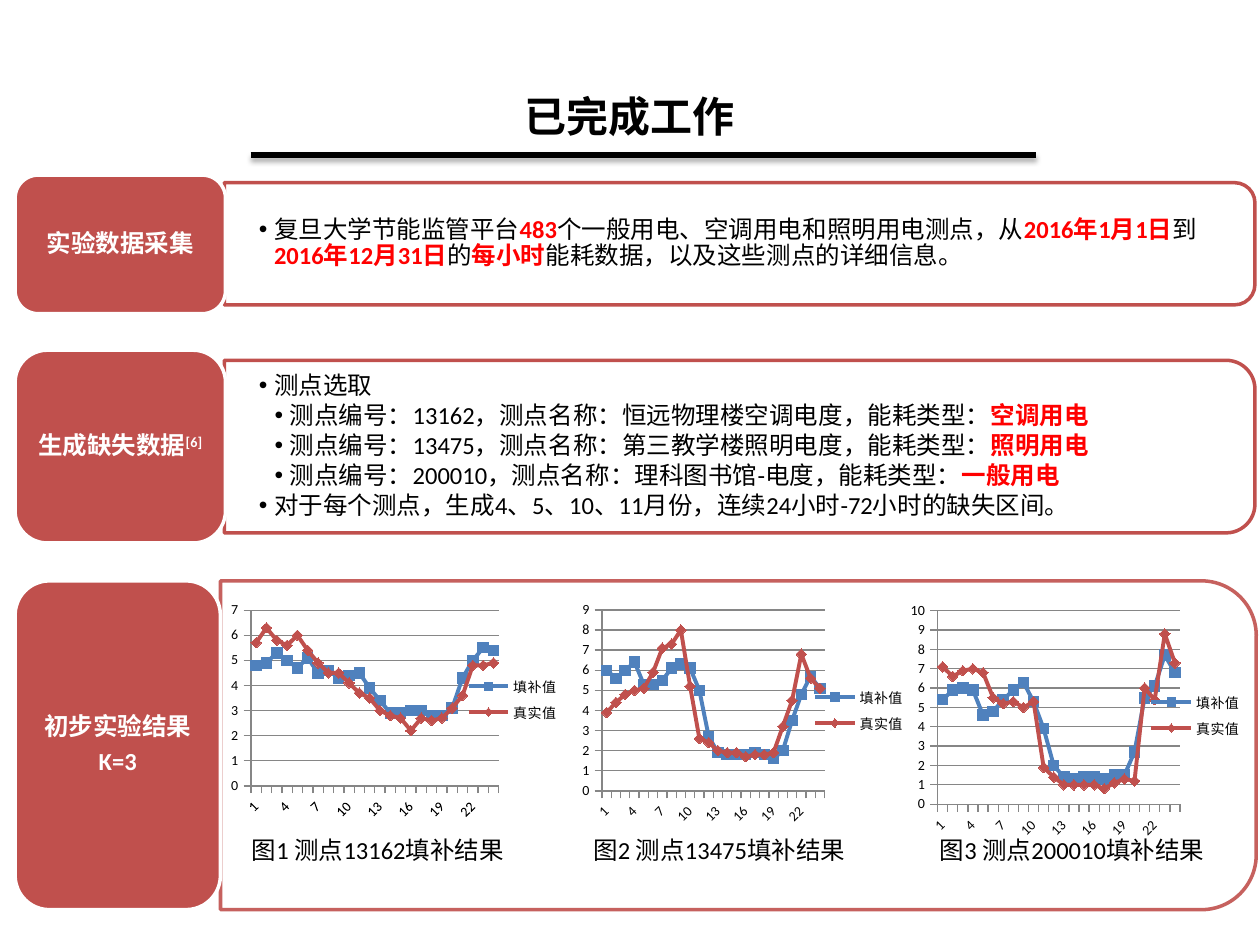
from lxml import etree
from pptx import Presentation, util as u
from pptx.chart.data import CategoryChartData
from pptx.dml.color import RGBColor
from pptx.enum import chart as charts, shapes, text
from pptx.oxml import parse_xml
from pptx.oxml.ns import nsdecls, qn

LATIN, CJK = "Calibri", "Noto Sans CJK SC"
RED, BLUE = "C0504D", "4F81BD"


def color(value):
    return RGBColor.from_string(value)


def add_xml(parent, tag, **attributes):
    return etree.SubElement(parent, qn(tag), attributes)


def apply(target, values):
    for name, value in values.items():
        setattr(target, name, value)


def write(para, content, base="000000", size=14, latin=LATIN, bold=False, mark=None):
    """Fill a paragraph; parts between asterisks are passed to mark."""
    for index, part in enumerate(content.split("*")):
        if not part:
            continue
        span = para.add_run()
        span.text = part
        apply(span.font, {"size": u.Pt(size), "name": latin, "bold": bold})
        span.font.color.rgb = color(base)
        add_xml(span.font._element, "a:ea", typeface=CJK)
        if index % 2:
            mark(span)


def highlight(span):
    span.font.bold = True
    span.font.color.rgb = color("FF0000")


def superscript(span):
    span.font._element.set("baseline", "30000")


def set_frame(frame, anchor, side, top):
    apply(frame, {"word_wrap": True, "vertical_anchor": anchor,
                  "margin_left": u.Inches(side), "margin_right": u.Inches(side),
                  "margin_top": u.Inches(top), "margin_bottom": u.Inches(top)})


def paragraphs(frame, count):
    return [frame.paragraphs[0]] + [frame.add_paragraph() for _ in range(count - 1)]


def add_title(page, left, top, width, height):
    title = page.shapes.title
    apply(title, {"left": u.Inches(left), "top": u.Inches(top),
                  "width": u.Inches(width), "height": u.Inches(height)})
    title.text_frame.vertical_anchor = text.MSO_ANCHOR.MIDDLE
    para = title.text_frame.paragraphs[0]
    para.alignment = text.PP_ALIGN.CENTER
    write(para, "已完成工作", size=24, latin=CJK, bold=True)

    # Rule under the title, with a soft shadow
    rule = page.shapes.add_connector(shapes.MSO_CONNECTOR.STRAIGHT, u.Inches(1.99),
                                     u.Inches(top + height), u.Inches(8.22), u.Inches(top + height))
    rule.line.color.rgb = color("000000")
    rule.line.width = u.Pt(3)
    effects = add_xml(rule._element.spPr, "a:effectLst")
    shadow = add_xml(effects, "a:outerShdw", blurRad=str(u.Pt(3.1)), dist=str(u.Pt(1.8)),
                     dir="5400000", rotWithShape="0")
    add_xml(add_xml(shadow, "a:srgbClr", val="000000"), "a:alpha", val="35000")


def add_panel(page, left, top, width, height, opacity=100):
    """Outline with rounded right corners: a shape turned by a quarter."""
    panel = page.shapes.add_shape(
        shapes.MSO_SHAPE.ROUND_2_SAME_RECTANGLE,
        u.Inches(left + (width - height) / 2), u.Inches(top + (height - width) / 2),
        u.Inches(height), u.Inches(width))
    panel.rotation = 90
    panel.shadow.inherit = False
    panel.fill.background()
    panel.line.color.rgb = color(RED)
    panel.line.width = u.Pt(2)
    if opacity < 100:
        add_xml(panel.line._ln.find(".//" + qn("a:srgbClr")), "a:alpha", val=str(opacity * 1000))


def add_label(page, left, top, width, height, lines):
    label = page.shapes.add_shape(shapes.MSO_SHAPE.ROUNDED_RECTANGLE, u.Inches(left),
                                  u.Inches(top), u.Inches(width), u.Inches(height))
    label.shadow.inherit = False
    label.fill.solid()
    label.fill.fore_color.rgb = color(RED)
    label.line.color.rgb = color("FFFFFF")
    label.line.width = u.Pt(2)
    set_frame(label.text_frame, text.MSO_ANCHOR.MIDDLE, 0.06, 0.03)
    for para, line in zip(paragraphs(label.text_frame, len(lines)), lines):
        apply(para, {"alignment": text.PP_ALIGN.CENTER, "line_spacing": 0.9,
                     "space_after": u.Pt(5)})
        write(para, line, base="FFFFFF", bold=True, mark=superscript)


def add_bullets(page, left, top, width, height, items):
    box = page.shapes.add_textbox(u.Inches(left), u.Inches(top), u.Inches(width), u.Inches(height))
    set_frame(box.text_frame, text.MSO_ANCHOR.MIDDLE, 0.27, 0.14)
    for para, (level, content) in zip(paragraphs(box.text_frame, len(items)), items):
        apply(para, {"level": level, "line_spacing": 0.9, "space_after": u.Pt(2)})
        properties = para._p.get_or_add_pPr()
        properties.set("marL", str(u.Inches(0.125 * level)))
        properties.set("marL", str(u.Inches(0.125 * level)))
        properties.set("marL", str(u.Inches(0.125 * (level))))
        properties.set("indent", str(u.Inches(-0.12)))
        add_xml(properties, "a:buFont", typeface="Arial")
        add_xml(properties, "a:buChar", char="•")
        write(para, content, mark=highlight)


def add_line_chart(page, left, top, width, height, plot, highest, filled, actual):
    data = CategoryChartData()
    data.categories = [str(hour) for hour in range(1, 25)]
    data.add_series("填补值", filled)
    data.add_series("真实值", actual)
    chart = page.shapes.add_chart(charts.XL_CHART_TYPE.LINE_MARKERS, u.Inches(left), u.Inches(top),
                                  u.Inches(width), u.Inches(height), data).chart
    apply(chart.font, {"size": u.Pt(8), "name": LATIN})
    chart.font.color.rgb = color("000000")
    chart.has_title = False
    chart.has_legend = True
    apply(chart.legend, {"position": charts.XL_LEGEND_POSITION.RIGHT, "include_in_layout": False})
    chart.plots[0].vary_by_categories = False

    # Axes and grid
    apply(chart.value_axis, {"minimum_scale": 0, "maximum_scale": highest, "major_unit": 1,
                             "has_major_gridlines": True})
    for axis in (chart.category_axis, chart.value_axis):
        axis.major_tick_mark = charts.XL_TICK_MARK.OUTSIDE
    for line in (chart.category_axis.format.line, chart.value_axis.format.line,
                 chart.value_axis.major_gridlines.format.line):
        line.color.rgb = color("868686")
        line.width = u.Pt(0.75)

    # Series
    markers = (charts.XL_MARKER_STYLE.SQUARE, charts.XL_MARKER_STYLE.DIAMOND)
    for series, shade, marker in zip(chart.plots[0].series, (BLUE, RED), markers):
        series.smooth = False
        series.format.line.width = u.Pt(2.25)
        series.format.line.color.rgb = color(shade)
        apply(series.marker, {"style": marker, "size": 6})
        series.marker.format.fill.solid()
        series.marker.format.fill.fore_color.rgb = color(shade)
        series.marker.format.line.color.rgb = color(shade)

    # Fixed inner plot area, as fractions of the chart
    area = chart._chartSpace.chart.plotArea
    for old in area.findall(qn("c:layout")):
        area.remove(old)
    places = "".join(f'<c:{name} val="{value}"/>' for name, value in zip("xywh", plot))
    area.insert(0, parse_xml(
        f'<c:layout {nsdecls("c")}><c:manualLayout><c:layoutTarget val="inner"/>'
        f'<c:xMode val="edge"/><c:yMode val="edge"/>{places}</c:manualLayout></c:layout>'))


def add_caption(page, left, top, width, height, content):
    box = page.shapes.add_textbox(u.Inches(left), u.Inches(top), u.Inches(width), u.Inches(height))
    set_frame(box.text_frame, text.MSO_ANCHOR.TOP, 0.1, 0.05)
    write(box.text_frame.paragraphs[0], content)


COLLECTION = [(1, "复旦大学节能监管平台*483*个一般用电、空调用电和照明用电测点，从*2016年1月1日*到"
                  "*2016年12月31日*的*每小时*能耗数据，以及这些测点的详细信息。")]
POINTS = [("13162", "恒远物理楼空调电度", "空调用电"), ("13475", "第三教学楼照明电度", "照明用电"),
          ("200010", "理科图书馆-电度", "一般用电")]
GAPS = [(1, "测点选取"),
        *((2, f"测点编号：{number}，测点名称：{name}，能耗类型：*{kind}*") for number, name, kind in POINTS),
        (1, "对于每个测点，生成4、5、10、11月份，连续24小时-72小时的缺失区间。")]
# Chart box, plot fractions, axis top, filled values, actual values
CHARTS = [
    ((1.77, 4.62, 2.77, 1.89), (0.08, 0.12, 0.71, 0.75), 7,
     (4.8, 4.9, 5.3, 5, 4.7, 5.1, 4.5, 4.6, 4.3, 4.4, 4.5, 3.9, 3.4, 2.9, 2.9, 3, 3, 2.8, 2.8, 3.1, 4.3, 5, 5.5, 5.4),
     (5.7, 6.3, 5.8, 5.6, 6, 5.4, 4.9, 4.5, 4.5, 4.1, 3.7, 3.5, 3, 2.8, 2.7, 2.2, 2.7, 2.6, 2.7, 3.1, 3.6, 4.8, 4.8, 4.9)),
    ((4.53, 4.69, 2.76, 1.89), (0.09, 0.08, 0.64, 0.76), 9,
     (6, 5.6, 6, 6.4, 5.3, 5.3, 5.5, 6.1, 6.3, 6.1, 5, 2.7, 1.9, 1.8, 1.8, 1.8, 1.9, 1.8, 1.6, 2, 3.5, 4.8, 5.7, 5.1),
     (3.9, 4.4, 4.8, 5, 5.1, 5.9, 7.1, 7.3, 8, 5.2, 2.6, 2.4, 2, 1.9, 1.9, 1.7, 1.8, 1.8, 1.9, 3.2, 4.5, 6.8, 5.6, 5.1)),
    ((7.13, 4.69, 2.83, 1.97), (0.11, 0.08, 0.68, 0.78), 10,
     (5.4, 5.9, 6, 5.9, 4.6, 4.8, 5.4, 5.9, 6.3, 5.3, 3.9, 2, 1.4, 1.3, 1.4, 1.4, 1.3, 1.5, 1.5, 2.7, 5.5, 6.1, 7.7, 6.8),
     (7.1, 6.6, 6.9, 7, 6.8, 5.5, 5.2, 5.3, 5, 5.3, 1.9, 1.4, 1, 1, 1, 1, 0.8, 1.1, 1.3, 1.2, 6, 5.4, 8.8, 7.3)),
]
CAPTIONS = [(1.9, 2.22), (4.61, 2.22), (7.36, 2.32)]


def main():
    deck = Presentation()
    deck.slide_width, deck.slide_height = u.Inches(10), u.Inches(7.5)
    page = deck.slides.add_slide(deck.slide_layouts[5])
    add_title(page, 0.75, 0.6, 8.5, 0.63)

    # Data collection
    add_panel(page, 1.78, 1.45, 8.18, 0.97)
    add_bullets(page, 1.78, 1.5, 8.13, 0.87, COLLECTION)
    add_label(page, 0.12, 1.39, 1.67, 1.1, ["实验数据采集"])

    # Generated gaps
    add_panel(page, 1.78, 2.86, 8.18, 1.37)
    add_bullets(page, 1.78, 2.93, 8.11, 1.23, GAPS)
    add_label(page, 0.12, 2.78, 1.67, 1.53, ["生成缺失数据*[6]*"])

    # First results
    add_panel(page, 1.75, 4.61, 8.22, 2.61, opacity=90)
    add_label(page, 0.12, 4.61, 1.63, 2.61, ["初步实验结果", "K=3"])
    for box, *content in CHARTS:
        add_line_chart(page, *box, *content)
    for order, ((left, width), (number, *_)) in enumerate(zip(CAPTIONS, POINTS), 1):
        add_caption(page, left, 6.58, width, 0.34, f"图{order} 测点{number}填补结果")

    deck.save("out.pptx")


if __name__ == "__main__":
    main()
